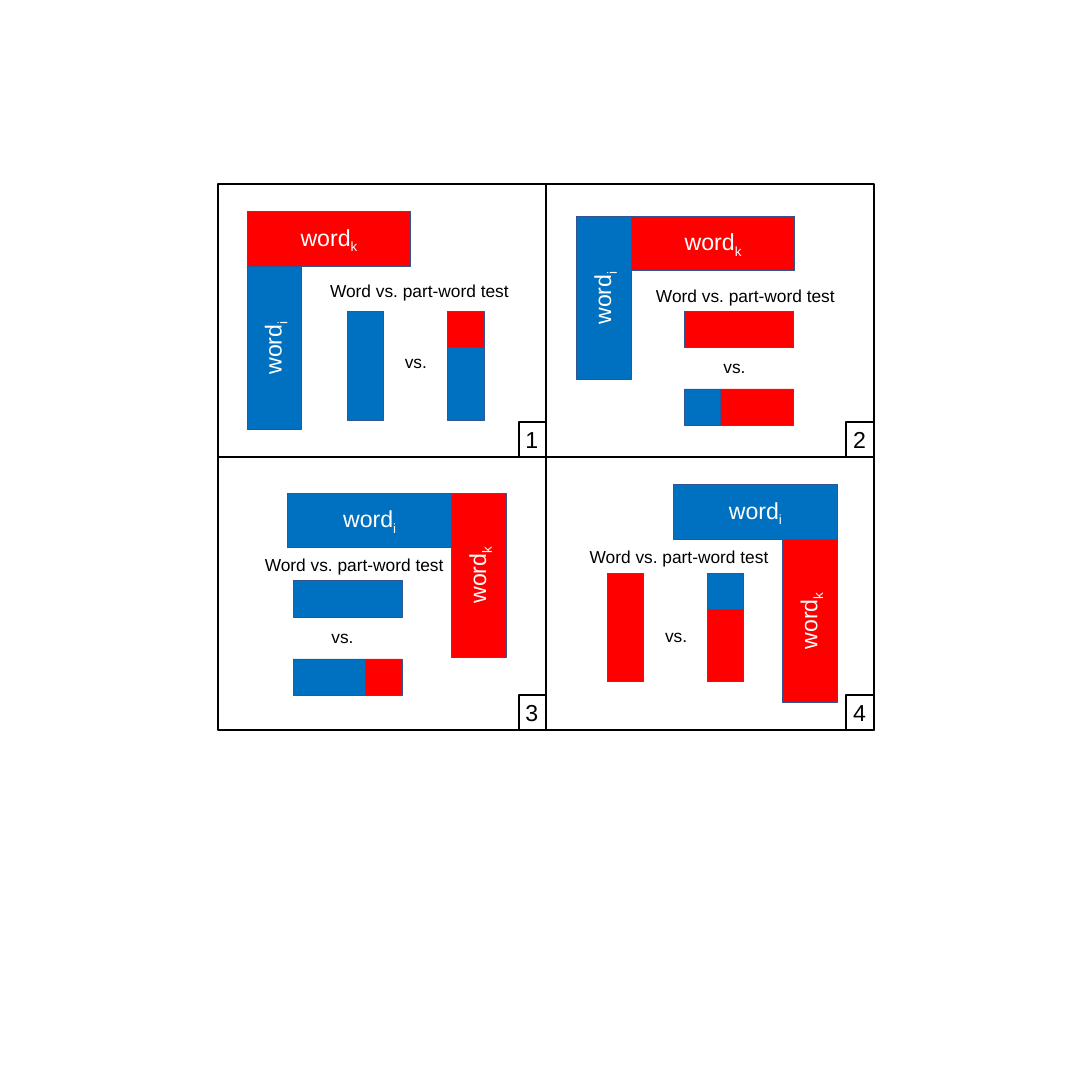
from pptx import Presentation
from pptx.dml.color import RGBColor
from pptx.enum import shapes as sh, text as tx
from pptx.util import Cm, Pt

HUE = {"i": "0070C0", "k": "FF0000", "edge": "325491", "ink": "000000", "light": "FFFFFF"}
LEFT, TOP, WIDE, HIGH = 8, 6.75, 12, 10
LONG, THICK = 6, 2
UNIT = 1.33

# Positions are in cm from the corner of the panel.
# words: (key, x, y, upright); split: (key, units) from first part to last
PANELS = [
    dict(words=[("i", 1.05, 3, True), ("k", 1.05, 1, False)], upright=True,
         title=(3.84, 3.4), whole=("i", 4.72, 4.65), vs=(6.58, 6),
         split=(8.41, 4.65, [("k", 1), ("i", 2)])),
    dict(words=[("i", 1.12, 1.17, True), ("k", 3.12, 1.17, False)], upright=False,
         title=(3.78, 3.56), whole=("k", 5.08, 4.66), vs=(6.25, 6.17),
         split=(5.08, 7.5, [("i", 1), ("k", 2)])),
    dict(words=[("i", 2.54, 1.32, False), ("k", 8.54, 1.32, True)], upright=False,
         title=(1.45, 3.43), whole=("i", 2.74, 4.53), vs=(3.89, 6.05),
         split=(2.74, 7.39, [("i", 2), ("k", 1)])),
    dict(words=[("i", 4.67, 1, False), ("k", 8.67, 3, True)], upright=True,
         title=(1.35, 3.12), whole=("k", 2.24, 4.24), vs=(4.11, 6.02),
         split=(5.92, 4.24, [("i", 1), ("k", 2)])),
]


def rgb(name):
    return RGBColor.from_string(HUE[name])


def write(shape, words, sub="", size=24, hue="ink", fit=False, turn=False):
    """Put words in a shape, with an optional subscript; turn runs them upwards."""
    frame = shape.text_frame
    frame.word_wrap = not fit
    frame.auto_size = tx.MSO_AUTO_SIZE.SHAPE_TO_FIT_TEXT if fit else tx.MSO_AUTO_SIZE.NONE
    frame.vertical_anchor = tx.MSO_ANCHOR.TOP if fit else tx.MSO_ANCHOR.MIDDLE
    if turn:
        frame._txBody.bodyPr.set("vert", "vert270")
    para = frame.paragraphs[0]
    para.alignment = tx.PP_ALIGN.LEFT if fit else tx.PP_ALIGN.CENTER
    for part in filter(None, (words, sub)):
        run = para.add_run()
        run.text = part
        run.font.name, run.font.size = "Arial", Pt(size)
        run.font.color.rgb = rgb(hue)
    if sub:
        run._r.get_or_add_rPr().set("baseline", "-25000")


def rect(parent, x, y, w, h, fill=None, line="edge", weight=1):
    box = parent.add_shape(sh.MSO_SHAPE.RECTANGLE, Cm(x), Cm(y), Cm(w), Cm(h))
    box.shadow.inherit = False
    if fill:
        box.fill.solid()
        box.fill.fore_color.rgb = rgb(fill)
    else:
        box.fill.background()
    box.line.color.rgb = rgb(line)
    box.line.width = Pt(weight)
    return box


def label(parent, x, y, w, words):
    box = parent.add_textbox(Cm(x), Cm(y), Cm(w), Cm(1.03))
    write(box, words, size=18, fit=True)


def bar(parent, x, y, length, thick, upright, key):
    w, h = (thick, length) if upright else (length, thick)
    return rect(parent, x, y, w, h, key)


def split(parent, x, y, parts, upright):
    """Draw a test bar made of parts, end to end."""
    for key, units in parts:
        bar(parent, x, y, units * UNIT, UNIT, upright, key)
        if upright:
            y += units * UNIT
        else:
            x += units * UNIT


def panel(parent, x, y, data):
    for key, dx, dy, upright in data["words"]:
        box = bar(parent, x + dx, y + dy, LONG, THICK, upright, key)
        write(box, "word", sub=key, hue="light", turn=upright)
    dx, dy = data["title"]
    label(parent, x + dx, y + dy, 7.14, "Word vs. part-word test")
    dx, dy, parts = data["split"]
    split(parent, x + dx, y + dy, parts, data["upright"])
    key, dx, dy = data["whole"]
    bar(parent, x + dx, y + dy, 3 * UNIT, UNIT, data["upright"], key)
    dx, dy = data["vs"]
    label(parent, x + dx, y + dy, 1.32, "vs.")
    rect(parent, x, y, WIDE, HIGH, line="ink", weight=2)


def tag(parent, x, y, number):
    """Number a panel in its lower right corner."""
    w, h = 1, 1.28
    box = rect(parent, x + WIDE - w, y + HIGH - h, w, h, line="ink", weight=2)
    write(box, str(number), fit=True)


def main():
    deck = Presentation()
    deck.slide_width = deck.slide_height = Cm(40)
    slide = deck.slides.add_slide(deck.slide_layouts[6])
    spots = [(LEFT + n % 2 * WIDE, TOP + n // 2 * HIGH) for n in range(len(PANELS))]
    for (x, y), data in zip(spots, PANELS):
        panel(slide.shapes.add_group_shape().shapes, x, y, data)
    for number, (x, y) in enumerate(spots, 1):
        tag(slide.shapes, x, y, number)
    deck.save("out.pptx")


if __name__ == "__main__":
    main()
